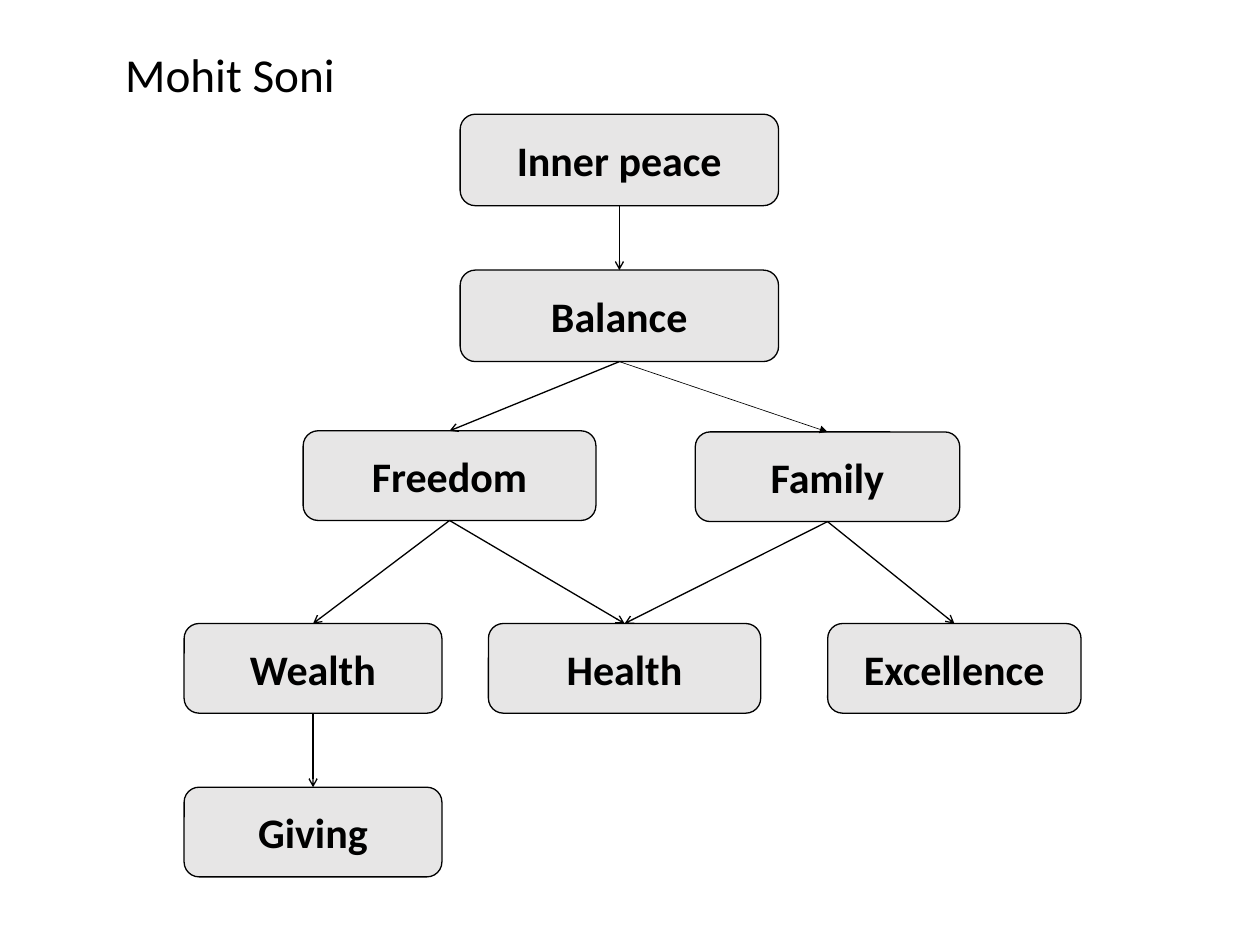
import pptx
import pptx.util
import pptx.dml.color
import pptx.enum.shapes
import pptx.enum.text
import pptx.oxml.ns
import lxml.etree

Cm, Pt = pptx.util.Cm, pptx.util.Pt
COLORS = {"box": "E7E6E6", "ink": "000000"}
TOP, BOTTOM = 0, 2  # connection sites of a box


def color(name):
    return pptx.dml.color.RGBColor.from_string(COLORS[name])


def write(shape, text, size, bold):
    frame = shape.text_frame
    frame.word_wrap = True
    frame.vertical_anchor = pptx.enum.text.MSO_ANCHOR.MIDDLE
    paragraph = frame.paragraphs[0]
    paragraph.alignment = pptx.enum.text.PP_ALIGN.CENTER
    run = paragraph.add_run()
    run.text = text
    run.font.name = "Calibri"
    run.font.size = Pt(size)
    run.font.bold = bold
    run.font.color.rgb = color("ink")


deck = pptx.Presentation()
deck.slide_width, deck.slide_height = Cm(33.87), Cm(25.4)
slide = deck.slides.add_slide(deck.slide_layouts[6])

# Author
author = slide.shapes.add_textbox(Cm(0), Cm(1.09), Cm(12.37), Cm(1.8))
write(author, "Mohit Soni", 36, False)

# Values: left, top, width, height in cm
values = {
    "Inner peace": (12.37, 3.07, 8.56, 2.46),
    "Balance": (12.37, 7.26, 8.56, 2.46),
    "Freedom": (8.15, 11.58, 7.87, 2.41),
    "Family": (18.69, 11.61, 7.11, 2.41),
    "Wealth": (4.95, 16.76, 6.93, 2.41),
    "Health": (13.13, 16.76, 7.32, 2.41),
    "Excellence": (22.25, 16.76, 6.81, 2.41),
    "Giving": (4.95, 21.16, 6.93, 2.41),
}
boxes = {}
for value, place in values.items():
    box = slide.shapes.add_shape(
        pptx.enum.shapes.MSO_SHAPE.ROUNDED_RECTANGLE, *map(Cm, place))
    box.shadow.inherit = False
    box.fill.solid()
    box.fill.fore_color.rgb = color("box")
    box.line.color.rgb = color("ink")
    box.line.width = Pt(1)
    write(box, value, 32, True)
    boxes[value] = box

# Arrows from each value to the ones it rests on
links = [
    ("Inner peace", "Balance", 1, "arrow"),
    ("Balance", "Freedom", 1, "arrow"),
    ("Balance", "Family", 0.5, "triangle"),
    ("Freedom", "Wealth", 1, "arrow"),
    ("Freedom", "Health", 1, "arrow"),
    ("Family", "Health", 1, "arrow"),
    ("Family", "Excellence", 1, "arrow"),
    ("Wealth", "Giving", 1, "arrow"),
]
for upper, lower, width, head in links:
    link = slide.shapes.add_connector(
        pptx.enum.shapes.MSO_CONNECTOR.STRAIGHT, 0, 0, 0, 0)
    link.begin_connect(boxes[upper], BOTTOM)
    link.end_connect(boxes[lower], TOP)
    link.line.color.rgb = color("ink")
    link.line.width = Pt(width)
    outline = link.line._get_or_add_ln()
    lxml.etree.SubElement(outline, pptx.oxml.ns.qn("a:tailEnd"), type=head)
    lxml.etree.SubElement(link._element.spPr, pptx.oxml.ns.qn("a:effectLst"))

deck.save("out.pptx")
